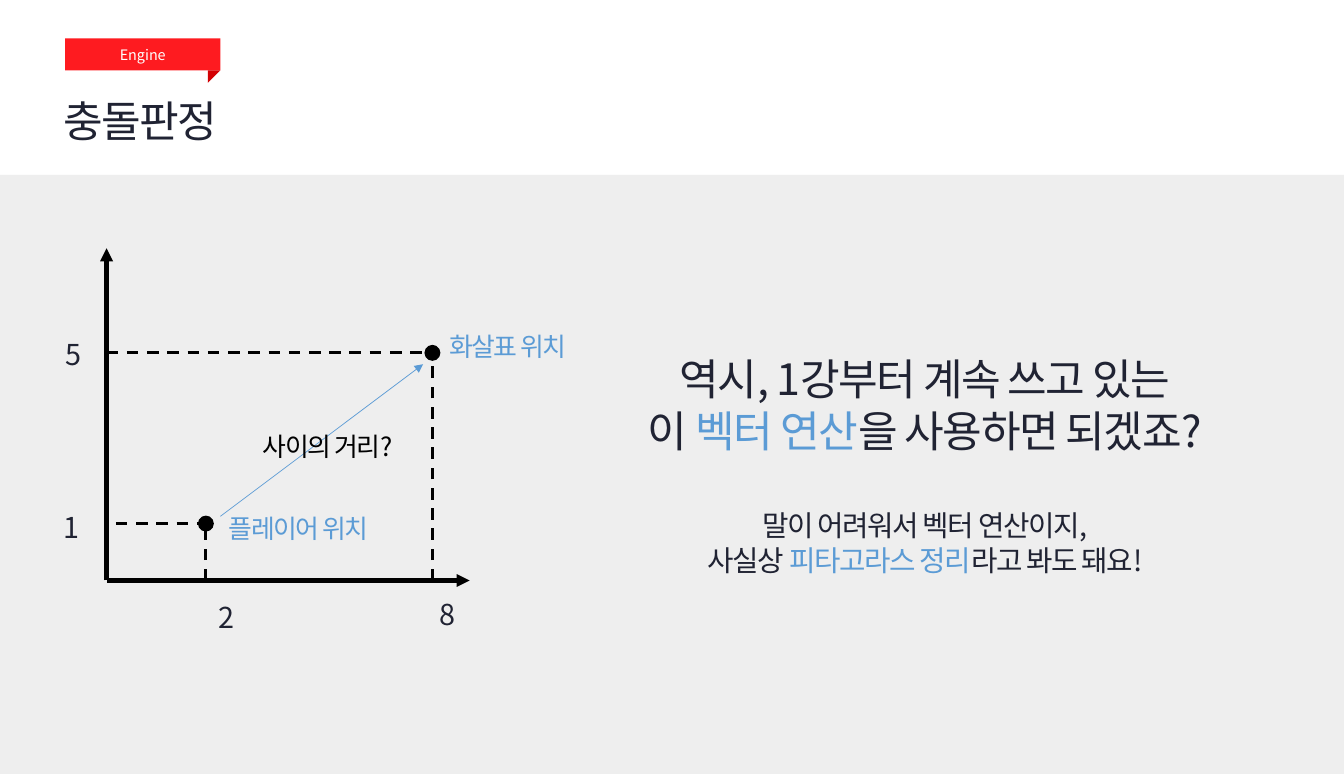
from lxml import etree
from pptx import Presentation
from pptx.dml.color import RGBColor
from pptx.enum.dml import MSO_LINE
from pptx.enum.shapes import MSO_CONNECTOR, MSO_SHAPE
from pptx.enum.text import MSO_ANCHOR, MSO_AUTO_SIZE, PP_ALIGN
from pptx.oxml.ns import qn
from pptx.util import Inches, Pt

WHITE = RGBColor(0xFF, 0xFF, 0xFF)
BLACK = RGBColor(0, 0, 0)
GREY = RGBColor(0xEE, 0xEE, 0xEE)
RED = RGBColor(0xFE, 0x1B, 0x20)
DARK_RED = RGBColor(0xD3, 0x01, 0x04)
NAVY = RGBColor(0x20, 0x23, 0x33)
BLUE = RGBColor(0x5B, 0x9B, 0xD5)

LEFT, CENTER = PP_ALIGN.LEFT, PP_ALIGN.CENTER
TOP, MIDDLE = MSO_ANCHOR.TOP, MSO_ANCHOR.MIDDLE
NO_AUTOFIT = MSO_AUTO_SIZE.NONE
STRAIGHT, DASH = MSO_CONNECTOR.STRAIGHT, MSO_LINE.DASH
RECT, OVAL = MSO_SHAPE.RECTANGLE, MSO_SHAPE.OVAL
FOLD = MSO_SHAPE.RIGHT_TRIANGLE

FONT = "Noto Sans CJK KR"
LINE_HEIGHT = 1.2
SLIDE_W, SLIDE_H = 12.99, 7.48
HEADER_H = 1.69


def place(shape, left, top, width, height):
    shape.left, shape.top = Inches(left), Inches(top)
    shape.width, shape.height = Inches(width), Inches(height)


def prepare_frame(frame, anchor=TOP):
    frame.word_wrap = True
    frame.auto_size = NO_AUTOFIT
    frame.vertical_anchor = anchor
    frame.margin_left = frame.margin_right = 0
    frame.margin_top = frame.margin_bottom = 0


def write(paragraph, text, size=20, color=NAVY, align=LEFT, spacing=-1, before=0):
    """Add one run to a paragraph and format both."""
    paragraph.alignment = align
    paragraph.line_spacing = Pt(size * LINE_HEIGHT)
    paragraph.space_before = Pt(before)
    run = paragraph.add_run()
    run.text = text
    run.font.size = Pt(size)
    run.font.color.rgb = color
    run.font.name = FONT
    properties = run.font._element
    properties.set("spc", str(spacing * 100))
    etree.SubElement(properties, qn("a:ea")).set("typeface", FONT)


def add_label(slide, text, left, top, width, height, **text_format):
    label = slide.shapes.add_textbox(
        Inches(left), Inches(top), Inches(width), Inches(height))
    prepare_frame(label.text_frame)
    write(label.text_frame.paragraphs[0], text, **text_format)


def add_block(slide, kind, left, top, width, height, color):
    block = slide.shapes.add_shape(
        kind, Inches(left), Inches(top), Inches(width), Inches(height))
    block.shadow.inherit = False
    block.fill.solid()
    block.fill.fore_color.rgb = color
    block.line.fill.background()
    return block


def add_line(slide, start, end, color=BLACK, width=2, dashed=False, arrow=False):
    line = slide.shapes.add_connector(
        STRAIGHT, *(Inches(length) for length in (*start, *end)))
    line.line.color.rgb = color
    line.line.width = Pt(width)
    if dashed:
        line.line.dash_style = DASH
    if arrow:
        outline = line.line._get_or_add_ln()
        etree.SubElement(outline, qn("a:tailEnd")).set("type", "triangle")
    etree.SubElement(line._element.spPr, qn("a:effectLst"))


def build_background(slide, left, top, width, height):
    panel = add_block(slide, RECT, left, top, width, height, GREY)
    slide.shapes._spTree.insert(2, panel._element)


def build_header(slide, left, top):
    # Category badge with its folded corner
    badge_w, badge_h, fold = 1.5, 0.31, 0.12
    badge = add_block(slide, RECT, left, top, badge_w, badge_h, RED)
    prepare_frame(badge.text_frame, MIDDLE)
    write(badge.text_frame.paragraphs[0], "Engine",
          size=10, color=WHITE, align=CENTER, spacing=0)
    corner = add_block(slide, FOLD, left + badge_w - fold, top + badge_h,
                       fold, fold, DARK_RED)
    corner.rotation = 90

    # Slide title
    title = slide.shapes.title
    place(title, left - 0.02, top + 0.54, 5.32, 0.5)
    prepare_frame(title.text_frame)
    write(title.text_frame.paragraphs[0], "충돌판정", size=30)


def build_explanation(slide, left, top, width, height):
    lines = [
        (30, 0, [("역시, 1강부터 계속 쓰고 있는", NAVY)]),
        (30, 0, [("이 ", NAVY), ("벡터 연산", BLUE), ("을 사용하면 되겠죠?", NAVY)]),
        (20, 36, [("말이 어려워서 벡터 연산이지,", NAVY)]),
        (20, 0, [("사실상 ", NAVY), ("피타고라스 정리", BLUE), ("라고 봐도 돼요!", NAVY)]),
    ]
    body = slide.placeholders[1]
    place(body, left, top, width, height)
    frame = body.text_frame
    prepare_frame(frame)
    for index, (size, before, parts) in enumerate(lines):
        paragraph = frame.add_paragraph() if index else frame.paragraphs[0]
        properties = paragraph._p.get_or_add_pPr()
        properties.set("marL", "0")
        properties.set("indent", "0")
        etree.SubElement(properties, qn("a:buNone"))
        for text, color in parts:
            write(paragraph, text, size=size, color=color, align=CENTER, before=before)


def build_graph(slide, left, top, width, height):
    bottom = top + height
    player = (left + 0.96, bottom - 0.55)
    target = (left + 3.15, bottom - 2.2)

    # Axes
    add_line(slide, (left, bottom), (left, top), width=3, arrow=True)
    add_line(slide, (left, bottom), (left + width, bottom), width=3, arrow=True)

    # Guides and position dots
    for (x, y), guide_gap in ((player, 0.09), (target, 0)):
        add_line(slide, (left + guide_gap, y), (x, y), dashed=True)
        add_line(slide, (x, bottom), (x, y), dashed=True)
        dot = add_block(slide, OVAL, x - 0.07, y - 0.07, 0.14, 0.14, BLACK)
        dot.line.color.rgb = BLACK
        dot.line.width = Pt(1)

    # Distance between the two positions
    add_line(slide, (player[0] + 0.14, player[1] - 0.07),
             (target[0] - 0.09, target[1] + 0.11),
             color=BLUE, width=0.5, arrow=True)

    # Axis values
    for value, x, y in (
        ("1", left - 0.42, player[1] - 0.13),
        ("5", left - 0.4, target[1] - 0.16),
        ("2", player[0] + 0.12, bottom + 0.19),
        ("8", target[0] + 0.07, bottom + 0.16),
    ):
        add_label(slide, value, x, y, 0.41, 0.34)

    # Captions
    for caption, x, y, color in (
        ("플레이어 위치", player[0] + 0.22, player[1] - 0.11, BLUE),
        ("화살표 위치", target[0] + 0.16, target[1] - 0.21, BLUE),
        ("사이의 거리?", player[0] + 0.55, player[1] - 0.9, BLACK),
    ):
        add_label(slide, caption, x, y, 1.72, 0.3, size=18, color=color)


def main():
    presentation = Presentation()
    presentation.slide_width = Inches(SLIDE_W)
    presentation.slide_height = Inches(SLIDE_H)
    slide = presentation.slides.add_slide(presentation.slide_layouts[1])
    build_background(slide, 0, HEADER_H, SLIDE_W, SLIDE_H - HEADER_H)
    build_header(slide, 0.63, 0.37)
    build_explanation(slide, 5.37, 3.41, 7.14, 2.19)
    build_graph(slide, 1.03, 2.4, 3.51, 3.21)
    presentation.save("out.pptx")


if __name__ == "__main__":
    main()
